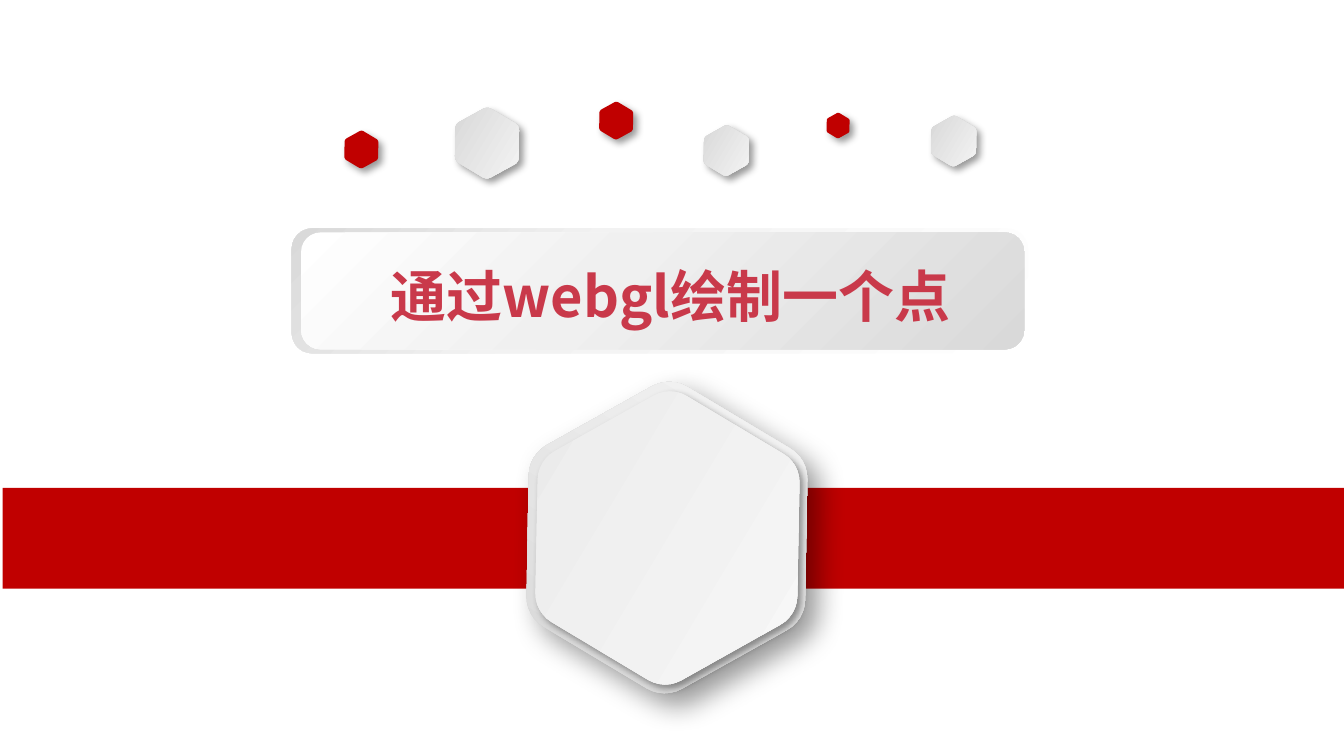
"""Build a title slide with a rounded banner, a red band and rounded hexagons."""
import math

import lxml.etree
import pptx
import pptx.dml.color
import pptx.enum.shapes
import pptx.enum.text
import pptx.oxml.ns
import pptx.util

Pt = pptx.util.Pt
SHAPE = pptx.enum.shapes.MSO_SHAPE
COLORS = {
    "red": "C00000", "title": "C9394A", "shadow": "000000", "white": "FFFFFF",
    "silver": "D3D3D3", "pale": "E9E9E9", "mist": "F9F9F9",
    "smoke": "F2F2F2", "fog": "F0F0F0", "gray": "D9D9D9",
}
TITLE = "通过webgl绘制一个点"
FONT = "Noto Sans CJK SC"
TITLE_BOX = (162, 136.8, 394.56, 43.2)
BAND = (1.44, 261.36, 720, 54)
SILVER = ([(0, "silver"), (100, "mist")], 0)
SMALL_SHADOW, LARGE_SHADOW = (4, 3), (15, 9)
HEXAGONS = [
    (260.9, 76.7, 38.2, 33.8, SILVER, SMALL_SHADOW),
    (330.1, 64.6, 20.2, 18, "red", SMALL_SHADOW),
    (193.6, 80.1, 20.2, 18, "red", SMALL_SHADOW),
    (389.1, 80.7, 26.8, 24.2, SILVER, SMALL_SHADOW),
    (449, 67.3, 13.6, 12.2, "red", SMALL_SHADOW),
    (510.9, 75.6, 26.8, 24.2, SILVER, SMALL_SHADOW),
    (357.3, 288, 166.3, 149.8, ([(0, "silver"), (100, "mist")], 270), LARGE_SHADOW),
    (357.6, 288.2, 156.2, 141.1, ([(0, "pale"), (100, "mist")], 0), SMALL_SHADOW),
]
BANNERS = [
    ((156.24, 122.4, 394.56, 66.96),
     ([(0, "white"), (0, "white"), (62, "smoke"), (100, "gray")], 225)),
    ((161.28, 124.56, 387.36, 62.64),
     ([(0, "white"), (0, "white"), (42, "fog"), (100, "gray")], 45)),
]
TILT = 30.9
ROUNDING = 0.22


def rgb(name):
    return pptx.dml.color.RGBColor.from_string(COLORS[name])


def add(parent, tag, **attrs):
    return lxml.etree.SubElement(parent, pptx.oxml.ns.qn(tag),
                                 {k: str(v) for k, v in attrs.items()})


def paint(sp, fill):
    sp.shadow.inherit = False
    sp.line.fill.background()
    if isinstance(fill, str):
        sp.fill.solid()
        sp.fill.fore_color.rgb = rgb(fill)
        return
    stops, angle = fill
    sp.fill.gradient()
    grad = sp._element.spPr.find(pptx.oxml.ns.qn("a:gradFill"))
    for child in list(grad):
        grad.remove(child)
    stop_list = add(grad, "a:gsLst")
    for pos, name in stops:
        add(add(stop_list, "a:gs", pos=pos * 1000), "a:srgbClr", val=COLORS[name])
    add(grad, "a:lin", ang=angle * 60000, scaled=0)


def cast_shadow(sp, blur, distance):
    effects = sp._element.spPr.find(pptx.oxml.ns.qn("a:effectLst"))
    outer = add(effects, "a:outerShdw", blurRad=Pt(blur), dist=Pt(distance),
                dir=45 * 60000, algn="tl", rotWithShape=0)
    add(add(outer, "a:srgbClr", val=COLORS["shadow"]), "a:alpha", val=40000)


def hexagon_points(cx, cy, w, h):
    """Trace a flat-topped hexagon whose corners are short arcs."""
    inset = ROUNDING * 2 / math.sqrt(3)
    half_w = 1 - inset + ROUNDING
    half_h = math.sqrt(3) / 2
    points = []
    for corner in range(0, 360, 60):
        a = math.radians(corner)
        for turn in range(-30, 31, 10):
            b = math.radians(corner + turn)
            x = (1 - inset) * math.cos(a) + ROUNDING * math.cos(b)
            y = (1 - inset) * math.sin(a) + ROUNDING * math.sin(b)
            points.append((Pt(cx + x / half_w * w / 2), Pt(cy + y / half_h * h / 2)))
    return points


def add_hexagon(shapes, cx, cy, w, h, fill, shadow):
    points = hexagon_points(cx, cy, w, h)
    builder = shapes.build_freeform(*points[0])
    builder.add_line_segments(points[1:], close=True)
    sp = builder.convert_to_shape()
    sp.rotation = TILT
    paint(sp, fill)
    cast_shadow(sp, *shadow)


def add_title(shapes):
    tf = shapes.add_textbox(*map(Pt, TITLE_BOX)).text_frame
    tf.word_wrap = True
    tf.auto_size = pptx.enum.text.MSO_AUTO_SIZE.SHAPE_TO_FIT_TEXT
    p = tf.paragraphs[0]
    p.alignment = pptx.enum.text.PP_ALIGN.CENTER
    r = p.add_run()
    r.text = TITLE
    r.font.size, r.font.bold, r.font.name = Pt(30), True, FONT
    r.font.color.rgb = rgb("title")
    add(r.font._element, "a:ea", typeface=FONT)


def main():
    prs = pptx.Presentation()
    prs.slide_width, prs.slide_height = Pt(720), Pt(405)
    shapes = prs.slides.add_slide(prs.slide_layouts[6]).shapes
    paint(shapes.add_shape(SHAPE.RECTANGLE, *map(Pt, BAND)), "red")
    for hexagon in HEXAGONS:
        add_hexagon(shapes, *hexagon)
    for box, fill in BANNERS:
        paint(shapes.add_shape(SHAPE.ROUNDED_RECTANGLE, *map(Pt, box)), fill)
    add_title(shapes)
    prs.save("out.pptx")


if __name__ == "__main__":
    main()
